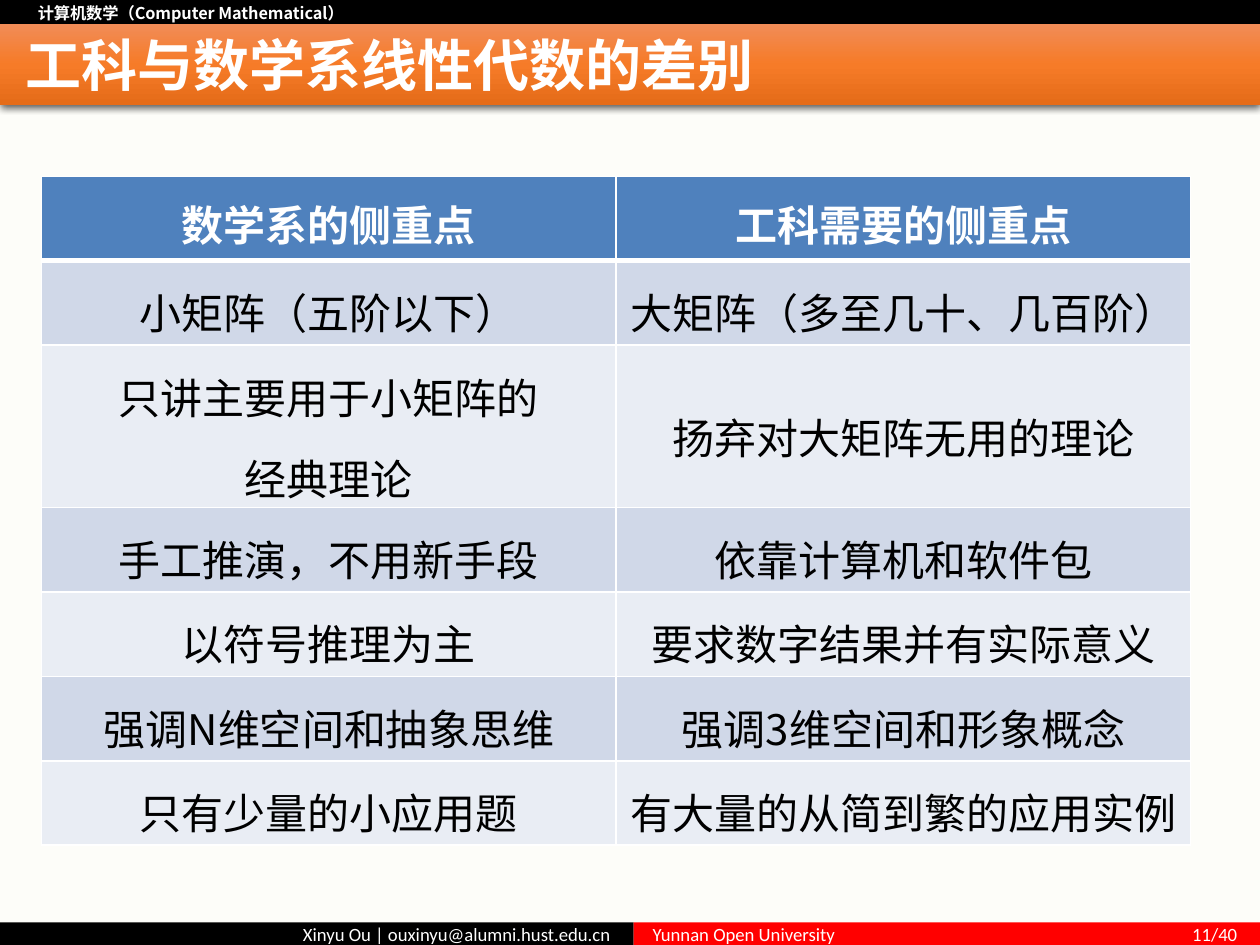
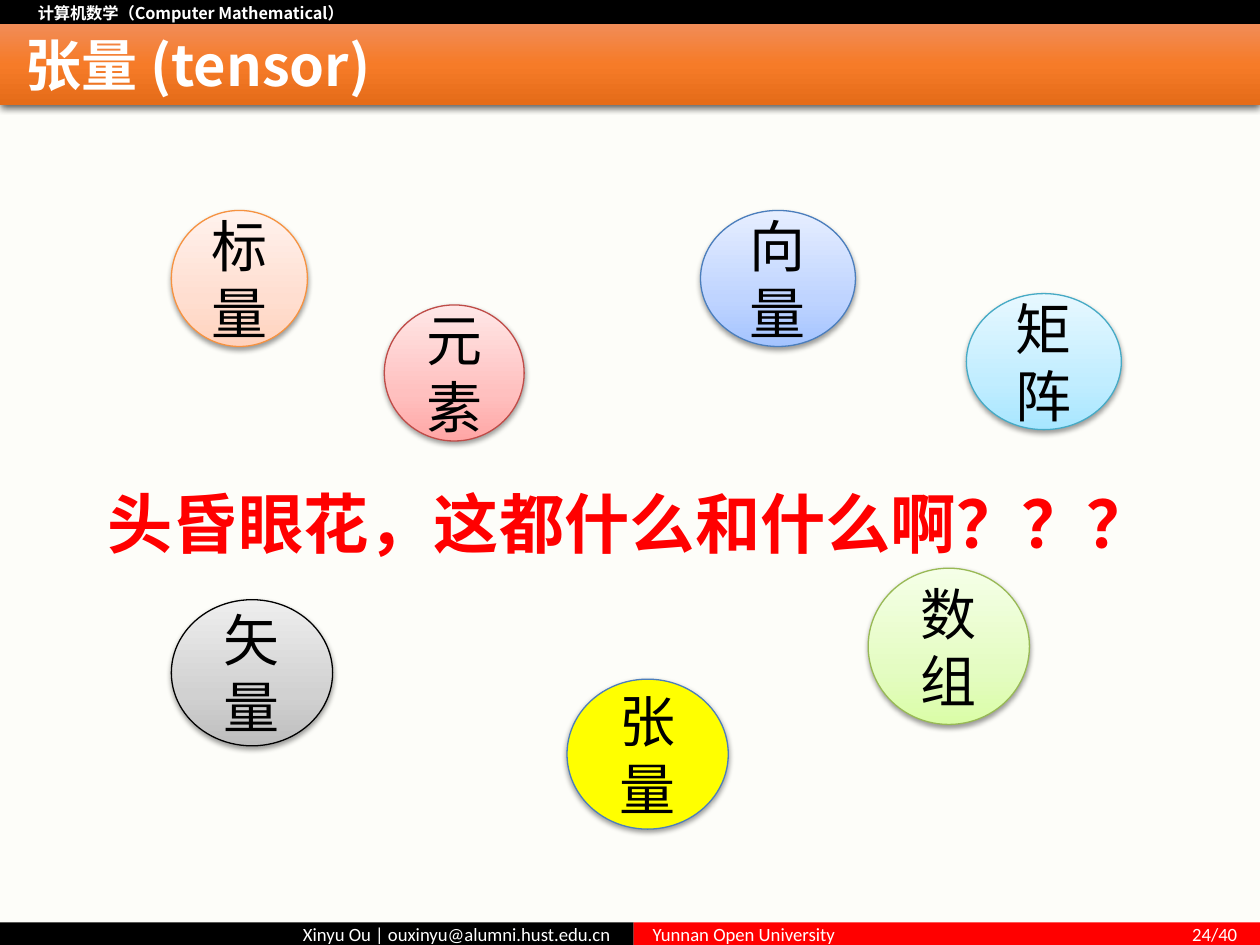
from copy import deepcopy
from typing import NamedTuple

from lxml.etree import SubElement
from pptx import Presentation
from pptx.dml.color import RGBColor
from pptx.enum.shapes import MSO_SHAPE as Shape
from pptx.enum.text import MSO_ANCHOR as Anchor, PP_ALIGN as Align
from pptx.oxml.ns import qn
from pptx.util import Inches, Pt

BLACK, WHITE, RED, PAPER = "000000", "FFFFFF", "FF0000", "FDFDF9"
HEADER_BLUE, ROW_DARK, ROW_LIGHT = "4F81BD", "D0D8E8", "E9EDF4"
CJK = "Noto Sans CJK SC"
TITLE_STOPS = ((0, "F18C57"), (50, "F67B28"), (100, "E56C19"))
ROW_HEIGHT, EXTRA_LINE = 0.67, 0.62

COURSE_FONT = {"name": CJK, "size": Pt(9.3), "bold": True}
FOOTER_FONT = {"name": "Calibri", "size": Pt(10.7), "bold": False}
TITLE_FONT = {"name": CJK, "size": Pt(32), "bold": True}
HEADER_FONT = {"name": CJK, "size": Pt(24), "bold": True}
CELL_FONT = {"name": CJK, "size": Pt(24), "bold": False}
CIRCLE_FONT = {"name": "Arial", "size": Pt(32), "bold": False}
QUESTION_FONT = {"name": "Arial", "size": Pt(37.3), "bold": True}


class Box(NamedTuple):
    """Left, top, width and height in inches."""
    left: float
    top: float
    width: float
    height: float

    def emu(self) -> list:
        """Return the four lengths for python-pptx."""
        return [Inches(v) for v in self]


class Shadow(NamedTuple):
    """A shadow that falls straight down."""
    alpha: int
    blur: float
    dist: float


class Band(NamedTuple):
    """A full-colour strip with one line of text."""
    box: Box
    fill: str
    text: str
    font: dict
    align: Align
    anchor: Anchor
    insets: tuple


class Circle(NamedTuple):
    """A concept bubble; several colours make a gradient."""
    text: str
    box: Box
    line: str
    colors: tuple


TITLE_SHADOW = Shadow(63, 4.5, 1.5)
CIRCLE_SHADOW = Shadow(38, 3.1, 1.6)

BANDS = (
    Band(Box(0, 0, 10, 0.21), BLACK, "计算机数学（Computer Mathematical）",
         COURSE_FONT, Align.LEFT, Anchor.MIDDLE, (0.3, 0.04, 0.15, 0.04)),
    Band(Box(0, 7.32, 5.03, 0.18), BLACK, "Xinyu Ou | ouxinyu@alumni.hust.edu.cn ",
         FOOTER_FONT, Align.RIGHT, Anchor.MIDDLE, (0.15, 0.04, 0.15, 0.04)),
    Band(Box(5.03, 7.32, 4.97, 0.18), RED, "Yunnan Open University\t{page}/40",
         FOOTER_FONT, Align.LEFT, Anchor.TOP, (0.15, 0, 0.15, 0)),
)

FOCUS_ROWS = (
    ("数学系的侧重点", "工科需要的侧重点"),
    ("小矩阵（五阶以下）", "大矩阵（多至几十、几百阶）"),
    ("只讲主要用于小矩阵的\n经典理论", "扬弃对大矩阵无用的理论"),
    ("手工推演，不用新手段", "依靠计算机和软件包"),
    ("以符号推理为主", "要求数字结果并有实际意义"),
    ("强调N维空间和抽象思维", "强调3维空间和形象概念"),
    ("只有少量的小应用题", "有大量的从简到繁的应用实例"),
)

CIRCLES = (
    Circle("标量", Box(1.36, 1.67, 1.08, 1.08), "F69240", ("FFD2BD", "FFDED0", "FFF2ED")),
    Circle("向量", Box(5.56, 1.67, 1.23, 1.08), "4B7EBC", ("A4C4FF", "BFD4FF", "E6EEFF")),
    Circle("张量", Box(4.5, 5.39, 1.28, 1.19), "4B7EBC", ("FFFF00",)),
    Circle("矩阵", Box(7.67, 2.33, 1.23, 1.08), "46AAC5", ("A7E6FF", "C1EDFF", "E7F8FF")),
    Circle("矢量", Box(1.36, 4.76, 1.28, 1.16), "000000", ("BDBDBD", "D1D1D1", "EEEEEE")),
    Circle("数组", Box(6.89, 4.51, 1.28, 1.24), "98B955", ("DAFDA7", "E4FCC2", "F5FFE7")),
    Circle("元素", Box(3.05, 2.42, 1.11, 1.08), "BF4C48", ("FFA6A5", "FFC0BF", "FFE7E7")),
)


def paint(fill, color: str) -> None:
    """Give a fill one solid colour."""
    fill.solid()
    fill.fore_color.rgb = RGBColor.from_string(color)


def paint_gradient(sp, stops: tuple, angle: int) -> None:
    """Give a shape a three-stop linear gradient."""
    sp.fill.gradient()
    sp.fill.gradient_angle = angle
    gs_lst = sp._element.spPr.find(".//" + qn("a:gsLst"))
    gs_lst.append(deepcopy(gs_lst[0]))
    for stop, (pos, color) in zip(sp.fill.gradient_stops, stops):
        stop.position = pos / 100
        stop.color.rgb = RGBColor.from_string(color)


def cast_shadow(sp, shadow: Shadow) -> None:
    """Replace the theme shadow by a black one below the shape."""
    sp.shadow.inherit = False
    effects = sp._element.spPr.find(qn("a:effectLst"))
    outer = SubElement(effects, qn("a:outerShdw"), blurRad=str(Pt(shadow.blur)),
                       dist=str(Pt(shadow.dist)), dir="5400000", rotWithShape="0")
    clr = SubElement(outer, qn("a:srgbClr"), val=BLACK)
    SubElement(clr, qn("a:alpha"), val=str(shadow.alpha * 1000))


def write(tf, text: str, font: dict, color: str, align: Align, space: float = 0) -> None:
    """Write one paragraph per line of text."""
    for i, line in enumerate(text.split("\n")):
        p = tf.add_paragraph() if i else tf.paragraphs[0]
        p.alignment = align
        p.space_before = Pt(space)
        r = p.add_run()
        r.text = line
        for name, value in font.items():
            setattr(r.font, name, value)
        r.font.color.rgb = RGBColor.from_string(color)
        SubElement(r._r.get_or_add_rPr(), qn("a:ea"), typeface=CJK)


def set_insets(target, insets: tuple) -> None:
    """Set the left, top, right and bottom margins of a frame or cell."""
    for side, value in zip(("left", "top", "right", "bottom"), insets):
        setattr(target, f"margin_{side}", Inches(value))


def set_frame(tf, anchor: Anchor, insets: tuple) -> None:
    """Set wrapping, anchor and insets."""
    tf.word_wrap = True
    tf.vertical_anchor = anchor
    set_insets(tf, insets)


def add_plain(s, kind: Shape, box: Box):
    """Add a shape without shadow or line."""
    sp = s.shapes.add_shape(kind, *box.emu())
    sp.shadow.inherit = False
    sp.line.fill.background()
    return sp


def add_label(s, box: Box, text: str, font: dict, color: str, align: Align,
              anchor: Anchor, insets: tuple) -> None:
    """Add a text box."""
    tf = s.shapes.add_textbox(*box.emu()).text_frame
    set_frame(tf, anchor, insets)
    write(tf, text, font, color, align)


def add_band(s, band: Band, page: int) -> None:
    """Draw a strip, with a right tab for its page number."""
    sp = add_plain(s, Shape.RECTANGLE, band.box)
    paint(sp.fill, band.fill)
    tf = sp.text_frame
    set_frame(tf, band.anchor, band.insets)
    write(tf, band.text.format(page=page), band.font, WHITE, band.align)
    if "\t" in band.text:
        tabs = SubElement(tf.paragraphs[0]._p.get_or_add_pPr(), qn("a:tabLst"))
        SubElement(tabs, qn("a:tab"), pos=str(Inches(4.64)), algn="r")


def add_slide(prs, title: str, page: int):
    """Add a slide with the shared bands and title."""
    s = prs.slides.add_slide(prs.slide_layouts[6])
    paint(s.background.fill, PAPER)
    for band in BANDS:
        add_band(s, band, page)
    bar = add_plain(s, Shape.RECTANGLE, Box(0, 0.19, 10, 0.64))
    paint_gradient(bar, TITLE_STOPS, 270)
    cast_shadow(bar, TITLE_SHADOW)
    add_label(s, Box(0, 0.24, 10, 0.54), title, TITLE_FONT, WHITE,
              Align.LEFT, Anchor.MIDDLE, (0.2, 0, 0, 0))
    return s


def set_borders(cell, top: float, bottom: float) -> None:
    """Draw white cell borders, given top and bottom widths in points."""
    tc_pr = cell._tc.get_or_add_tcPr()
    for tag, width in (("lnL", 1), ("lnR", 1), ("lnT", top), ("lnB", bottom)):
        ln = SubElement(tc_pr, qn(f"a:{tag}"), w=str(Pt(width)))
        fill = SubElement(ln, qn("a:solidFill"))
        SubElement(fill, qn("a:srgbClr"), val=WHITE)


def add_focus_table(s, left: float, top: float, width: float) -> None:
    """Draw the two-column comparison table, with taller rows for extra lines."""
    extras = [max(text.count("\n") for text in texts) for texts in FOCUS_ROWS]
    heights = [ROW_HEIGHT + EXTRA_LINE * extra for extra in extras]
    box = Box(left, top, width, sum(heights))
    table = s.shapes.add_table(len(FOCUS_ROWS), 2, *box.emu()).table
    table.horz_banding = False
    for i, texts in enumerate(FOCUS_ROWS):
        table.rows[i].height = Inches(heights[i])
        head = i == 0
        fill = HEADER_BLUE if head else ROW_DARK if i % 2 else ROW_LIGHT
        for j, text in enumerate(texts):
            cell = table.cell(i, j)
            set_borders(cell, 3 if i == 1 else 1, 3 if head else 1)
            paint(cell.fill, fill)
            cell.vertical_anchor = Anchor.MIDDLE if text.count("\n") < extras[i] else Anchor.TOP
            set_insets(cell, (0, 0.13 if head else 0.16, 0, 0))
            write(cell.text_frame, text, HEADER_FONT if head else CELL_FONT,
                  WHITE if head else BLACK, Align.CENTER, 9.2 if head else 11.7)


def add_circle(s, circle: Circle) -> None:
    """Draw one concept bubble."""
    sp = add_plain(s, Shape.OVAL, circle.box)
    if len(circle.colors) == 1:
        paint(sp.fill, circle.colors[0])
    else:
        paint_gradient(sp, tuple(zip((0, 35, 100), circle.colors)), 90)
    paint(sp.line.fill, circle.line)
    sp.line.width = Pt(0.75)
    cast_shadow(sp, CIRCLE_SHADOW)
    set_frame(sp.text_frame, Anchor.MIDDLE, (0.1, 0.05, 0.1, 0.05))
    write(sp.text_frame, circle.text, CIRCLE_FONT, BLACK, Align.CENTER)


def main() -> None:
    """Build and save the two slides."""
    prs = Presentation()
    prs.slide_width, prs.slide_height = Inches(10), Inches(7.5)

    s = add_slide(prs, "工科与数学系线性代数的差别", 11)
    add_focus_table(s, 0.33, 1.4, 9.12)

    s = add_slide(prs, "张量 (tensor)", 24)
    for circle in CIRCLES:
        add_circle(s, circle)
    add_label(s, Box(0, 3.79, 10, 0.73), "头昏眼花，这都什么和什么啊？？？", QUESTION_FONT,
              RED, Align.CENTER, Anchor.TOP, (0.1, 0.05, 0.1, 0.05))

    prs.save("out.pptx")


if __name__ == "__main__":
    main()
